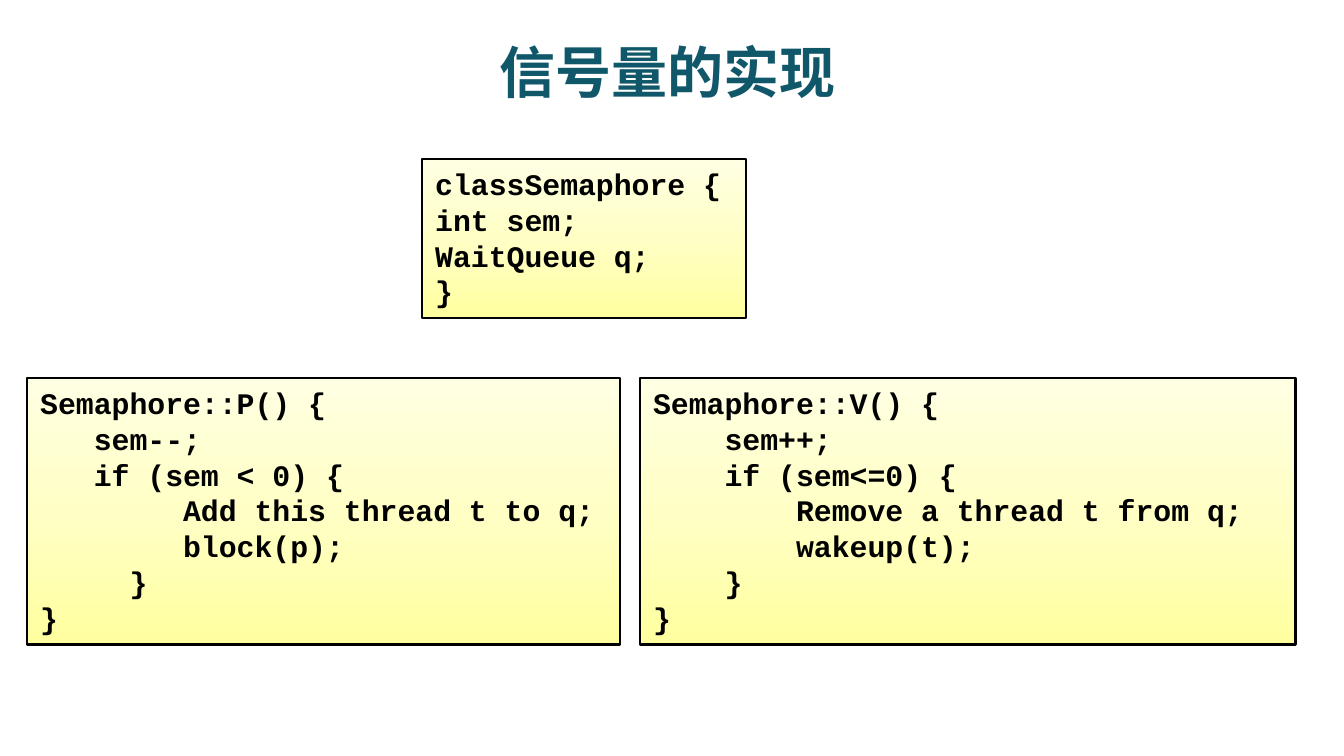
"""Builds the slide on the implementation of semaphores."""
from copy import deepcopy
from dataclasses import dataclass

from lxml import etree
from pptx import Presentation
from pptx import util as u
from pptx.dml.color import RGBColor
from pptx.enum import shapes, text
from pptx.oxml import ns

EMU_PER_PX = 914400 / 134.4


@dataclass(frozen=True)
class Theme:
    """Colours, fonts and type sizes of the slide."""
    title_color: str = "11576A"
    code_color: str = "000000"
    panel_stops: tuple = ((0, "FFFFA0"), (0.5, "FFFFC5"), (1, "FFFFE3"))
    title_font: str = "Noto Sans CJK SC"
    code_font: str = "Courier New"
    title_size: int = 30
    code_size: int = 16
    line_width: float = 1.5


THEME = Theme()

CLASS_CODE = """classSemaphore {
int sem;
WaitQueue q;
}"""

P_CODE = """Semaphore::P() {
   sem--;
   if (sem < 0) {
        Add this thread t to q;
        block(p);
     }
}"""

V_CODE = """Semaphore::V() {
    sem++;
    if (sem<=0) {
        Remove a thread t from q;
        wakeup(t);
    }
}"""


def px(length):
    """Turn pixels into EMU."""
    return u.Emu(round(length * EMU_PER_PX))


def style_font(font, name, size, color):
    """Set a bold font with its size and colour."""
    font.name = name
    font.size = u.Pt(size)
    font.bold = True
    font.color.rgb = RGBColor.from_string(color)


def add_title(page, box, wording):
    """Place the centred title in the box."""
    title = page.shapes.add_textbox(*map(px, box))
    frame = title.text_frame
    frame.word_wrap = True
    frame.vertical_anchor = text.MSO_ANCHOR.MIDDLE
    para = frame.paragraphs[0]
    span = para.add_run()
    span.text = wording
    para.alignment = text.PP_ALIGN.CENTER
    style_font(span.font, THEME.title_font, THEME.title_size, THEME.title_color)
    east_asian = etree.SubElement(span.font._element, ns.qn("a:ea"))
    east_asian.set("typeface", THEME.title_font)


def fill_gradient(panel):
    """Fill the panel with the theme gradient, rising from the bottom edge."""
    panel.fill.gradient()
    panel.fill.gradient_angle = 90
    stop_list = panel.element.spPr.find(".//" + ns.qn("a:gsLst"))
    stop_list.append(deepcopy(stop_list[-1]))
    for stop, (position, color) in zip(panel.fill.gradient_stops, THEME.panel_stops):
        stop.position = position
        stop.color.rgb = RGBColor.from_string(color)


def add_code_panel(page, box, code):
    """Place a bordered panel of code in the box, one paragraph a line."""
    panel = page.shapes.add_shape(shapes.MSO_SHAPE.RECTANGLE, *map(px, box))
    panel.shadow.inherit = False
    fill_gradient(panel)
    panel.line.color.rgb = RGBColor.from_string(THEME.code_color)
    panel.line.width = u.Pt(THEME.line_width)
    frame = panel.text_frame
    frame.word_wrap = True
    frame.auto_size = text.MSO_AUTO_SIZE.SHAPE_TO_FIT_TEXT
    frame.vertical_anchor = text.MSO_ANCHOR.TOP
    frame.text = code
    for para in frame.paragraphs:
        para.alignment = text.PP_ALIGN.LEFT
        style_font(para.font, THEME.code_font, THEME.code_size, THEME.code_color)


def main():
    """Build and save the deck."""
    deck = Presentation()
    deck.slide_width, deck.slide_height = px(1344), px(756)
    page = deck.slides.add_slide(deck.slide_layouts[6])
    add_title(page, (63, 34, 1210, 75), "信号量的实现")
    add_code_panel(page, (27, 378, 593, 267), P_CODE)
    add_code_panel(page, (640, 378, 656, 267), V_CODE)
    add_code_panel(page, (422, 159, 324, 159), CLASS_CODE)
    deck.save("out.pptx")


if __name__ == "__main__":
    main()
